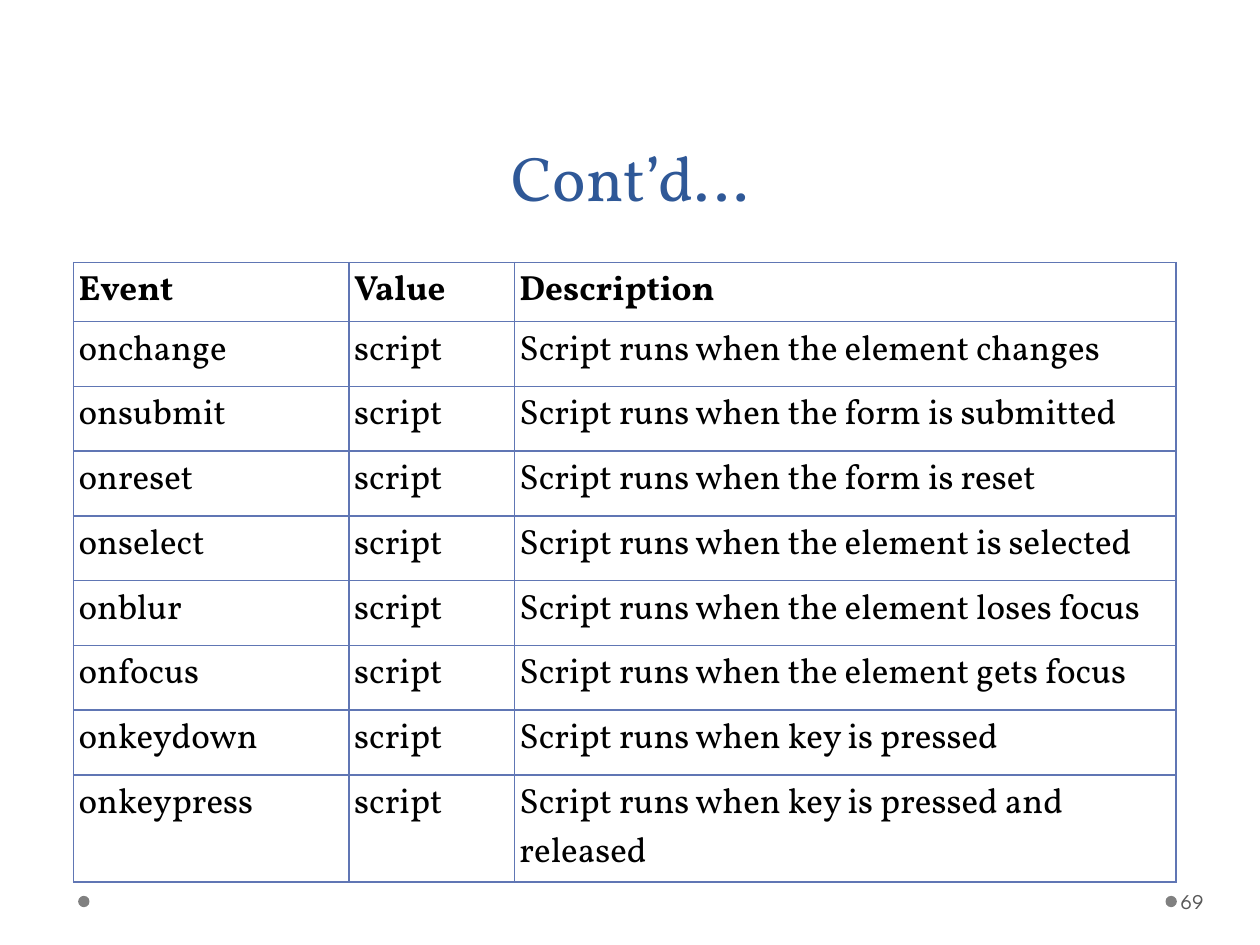
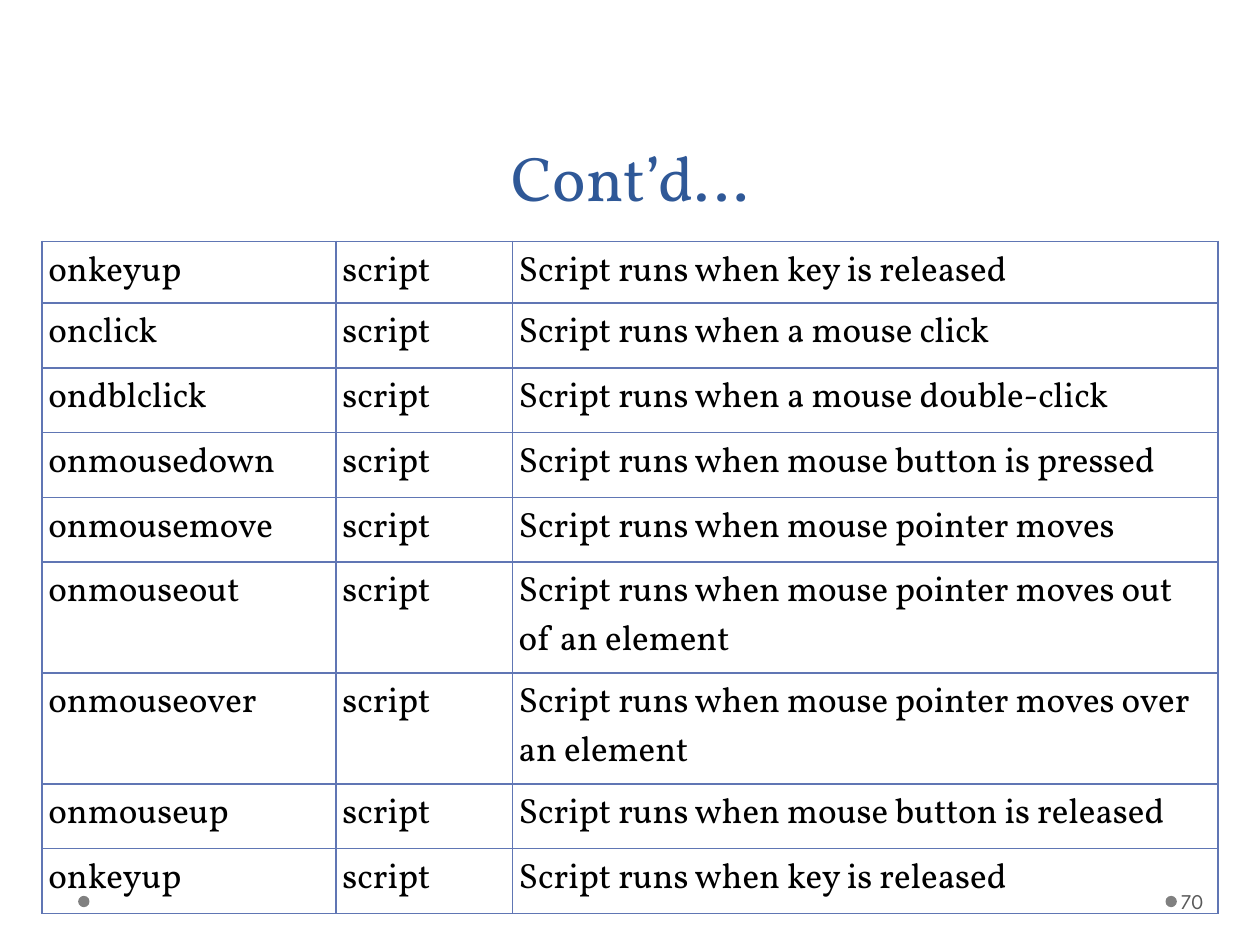
from lxml import etree
from pptx import Presentation
from pptx import util as u
from pptx.dml.color import RGBColor
from pptx.enum import shapes, text
from pptx.oxml import ns

SERIF, SANS = "Vollkorn", "League Spartan"
TITLE_BLUE, BORDER_BLUE = "2F5897", "6076B4"
BLACK, DOT_GRAY, NUMBER_GRAY = "000000", "808080", "595959"

TITLE = "Cont’d…"
VALUE = "script"
COLUMN_SHARES = (0.25, 0.15, 0.6)
EVENT_ROW = u.Pt(37)
LINE_LENGTH = 42
DOT_LEFTS = (0.62, 9.25)

SLIDES = [
    dict(
        number="69", left=7 / 12, top=25 / 12, width=8.75, inset=0.04,
        first_row=0.47, two_line_row=0.85,
        header=("Event", "Value", "Description"),
        events=[
            ("onchange", "Script runs when the element changes"),
            ("onsubmit", "Script runs when the form is submitted"),
            ("onreset", "Script runs when the form is reset"),
            ("onselect", "Script runs when the element is selected"),
            ("onblur", "Script runs when the element loses focus"),
            ("onfocus", "Script runs when the element gets focus"),
            ("onkeydown", "Script runs when key is pressed"),
            ("onkeypress", "Script runs when key is pressed and released"),
        ],
    ),
    dict(
        number="70", left=1 / 3, top=23 / 12, width=28 / 3, inset=0.05,
        first_row=0.49, two_line_row=0.88,
        header=None,
        events=[
            ("onkeyup", "Script runs when key is released"),
            ("onclick", "Script runs when a mouse click"),
            ("ondblclick", "Script runs when a mouse double-click"),
            ("onmousedown", "Script runs when mouse button is pressed"),
            ("onmousemove", "Script runs when mouse pointer moves"),
            ("onmouseout", "Script runs when mouse pointer moves out of an element"),
            ("onmouseover", "Script runs when mouse pointer moves over an element"),
            ("onmouseup", "Script runs when mouse button is released"),
            ("onkeyup", "Script runs when key is released"),
        ],
    ),
]


def color(hex_string):
    return RGBColor.from_string(hex_string)


def style(paragraph, face, size, hex_string, bold=False):
    for run in paragraph.runs:
        run.font.name = face
        run.font.size = u.Pt(size)
        run.font.bold = bold
        run.font.color.rgb = color(hex_string)


def add_label(slide, wording, box, anchor, face, size, hex_string):
    frame = slide.shapes.add_textbox(*map(u.Inches, box)).text_frame
    frame.word_wrap = True
    frame.vertical_anchor = anchor
    frame.text = wording
    style(frame.paragraphs[0], face, size, hex_string)
    return frame


def add_frame(slide, number):
    for left in DOT_LEFTS:
        dot = slide.shapes.add_shape(
            shapes.MSO_SHAPE.OVAL, *map(u.Inches, (left, 7.11, 0.09, 0.09)))
        dot.shadow.inherit = False
        dot.fill.solid()
        dot.fill.fore_color.rgb = color(DOT_GRAY)
        dot.line.fill.background()
    title = add_label(slide, TITLE, (0.5, 0, 9, 1.75), text.MSO_ANCHOR.BOTTOM,
                      SERIF, 36, TITLE_BLUE)
    title.paragraphs[0].alignment = text.PP_ALIGN.CENTER
    title.paragraphs[0].line_spacing = u.Pt(58)
    page = add_label(slide, number, (9.34, 6.95, 0.61, 0.4),
                     text.MSO_ANCHOR.MIDDLE, SANS, 12, NUMBER_GRAY)
    page.margin_left = u.Inches(0.03)
    page.margin_right = u.Inches(0.05)


def add_borders(cell):
    properties = cell._tc.get_or_add_tcPr()
    for side in ("a:lnL", "a:lnR", "a:lnT", "a:lnB"):
        border = etree.SubElement(properties, ns.qn(side), w=str(u.Pt(1)))
        fill = etree.SubElement(border, ns.qn("a:solidFill"))
        etree.SubElement(fill, ns.qn("a:srgbClr"), val=BORDER_BLUE)


def add_events(slide, content):
    rows = [(event, VALUE, description) for event, description in content["events"]]
    if content["header"]:
        rows.insert(0, content["header"])
    two_line_row = u.Inches(content["two_line_row"])
    heights = [two_line_row if len(description) > LINE_LENGTH else EVENT_ROW
               for _, _, description in rows]
    heights[0] = u.Inches(content["first_row"])
    table = slide.shapes.add_table(
        len(rows), len(COLUMN_SHARES), u.Inches(content["left"]),
        u.Inches(content["top"]), u.Inches(content["width"]), sum(heights)).table
    table.first_row = table.horz_banding = False
    for column, share in zip(table.columns, COLUMN_SHARES):
        column.width = u.Inches(content["width"] * share)
    inset = u.Inches(content["inset"])
    for row, height, wordings in zip(table.rows, heights, rows):
        row.height = height
        for cell, wording in zip(row.cells, wordings):
            cell.text = wording
            cell.margin_left = cell.margin_right = inset
            cell.margin_top = cell.margin_bottom = inset
            add_borders(cell)
            cell.fill.background()
            style(cell.text_frame.paragraphs[0], SERIF, 20, BLACK,
                  bold=wordings is content["header"])


def main():
    deck = Presentation()
    deck.slide_width, deck.slide_height = u.Inches(10), u.Inches(7.5)
    for content in SLIDES:
        slide = deck.slides.add_slide(deck.slide_layouts[6])
        add_frame(slide, content["number"])
        add_events(slide, content)
    deck.save("out.pptx")


if __name__ == "__main__":
    main()
